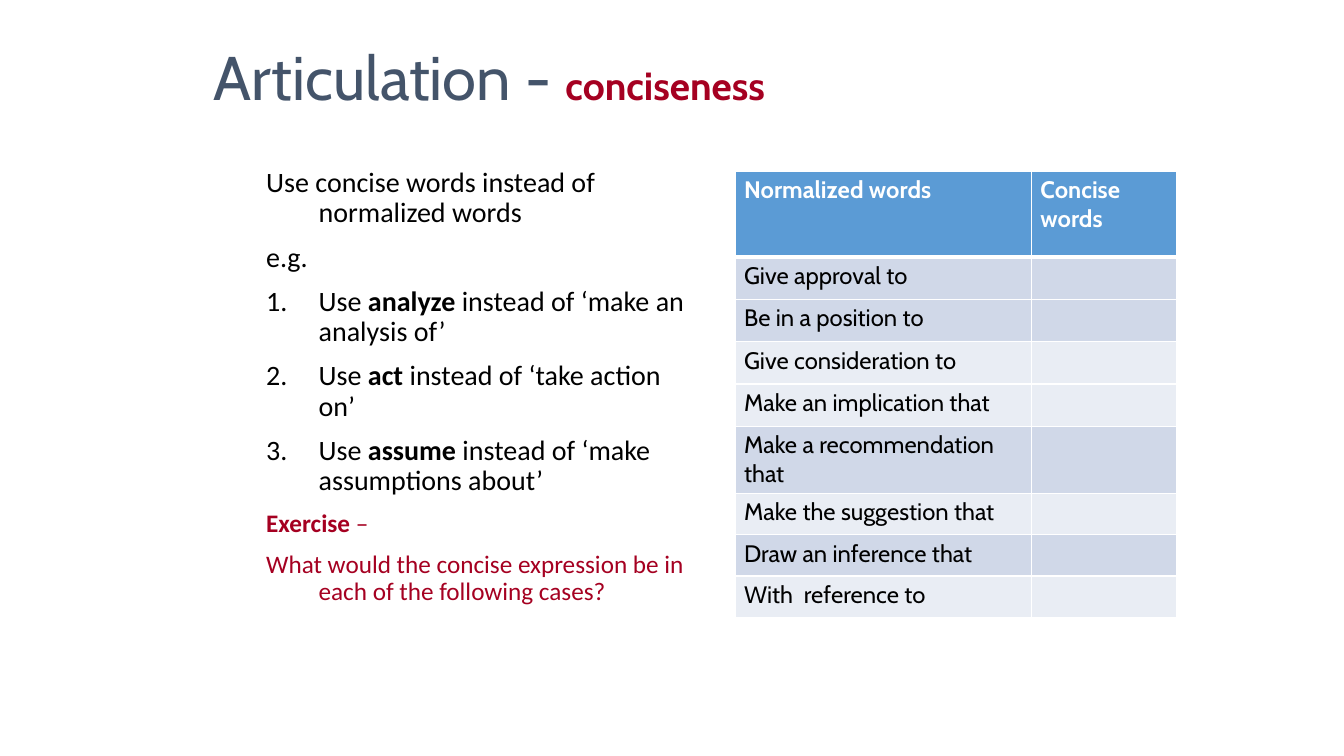
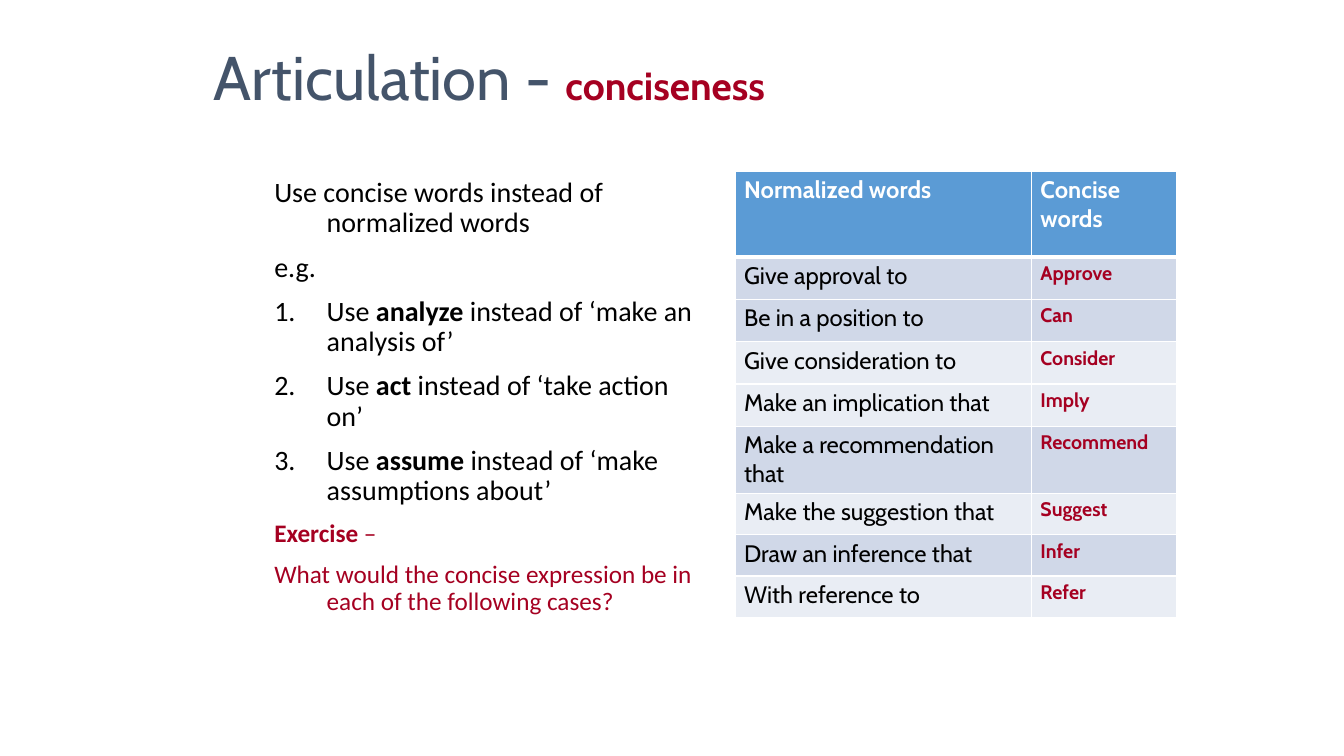
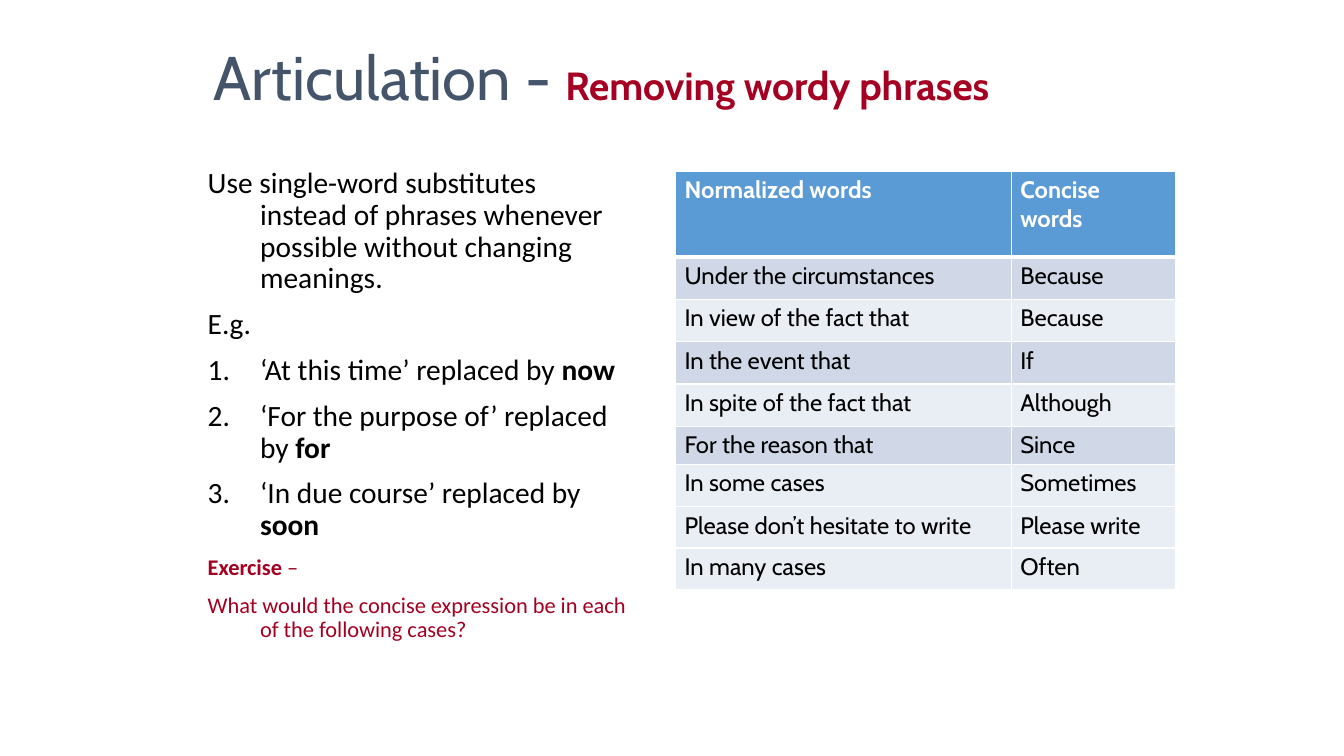
from dataclasses import dataclass

from lxml import etree
from pptx import Presentation
from pptx.dml.color import RGBColor
from pptx.enum.text import MSO_ANCHOR, MSO_AUTO_SIZE, PP_ALIGN
from pptx.oxml.ns import qn
from pptx.util import Inches, Pt

LEFT = PP_ALIGN.LEFT
MIDDLE = MSO_ANCHOR.MIDDLE
TOP = MSO_ANCHOR.TOP
NO_AUTOFIT = MSO_AUTO_SIZE.NONE


@dataclass(frozen=True)
class Theme:
    heading_font: str = "Cabin"
    body_font: str = "Calibri"
    title: str = "44546A"
    accent: str = "A50021"
    text: str = "000000"
    header: str = "5B9BD5"
    dark_band: str = "D0D8E8"
    light_band: str = "E9EDF4"
    white: str = "FFFFFF"
    title_size: int = 44
    subtitle_size: int = 28
    table_size: int = 17
    answer_size: int = 14
    thin_line: int = 1
    thick_line: int = 3


THEME = Theme()
BANDS = {"D": THEME.dark_band, "L": THEME.light_band}

# Content: each lesson point is a list of (text, bold) runs
CONCISE_INTRO = ["Use concise words instead of normalized words", "e.g."]
CONCISE_POINTS = [
    [("Use ", False), (word, True), (f" instead of ‘{phrase}’", False)]
    for word, phrase in [("analyze", "make an analysis of"),
                         ("act", "take action on"),
                         ("assume", "make assumptions about")]
]
WORDY_INTRO = ["Use single-word substitutes instead of phrases whenever "
               "possible without changing meanings.", "E.g."]
WORDY_POINTS = [
    [(f"‘{phrase}’ replaced by ", False), (word, True)]
    for phrase, word in [("At this time", "now"),
                         ("For the purpose of", "for"),
                         ("In due course", "soon")]
]
EXERCISE = [
    [("Exercise", True), (" –", False)],
    [("What would the concise expression be in each of the following cases?",
      False)],
]
TABLE_HEADER = ("Normalized words", "Concise words")
PHRASES = ["Give approval to", "Be in a position to", "Give consideration to",
           "Make an implication that", "Make a recommendation that",
           "Make the suggestion that", "Draw an inference that"]
ANSWERS = ["Approve", "Can", "Consider", "Imply", "Recommend", "Suggest",
           "Infer", "Refer"]
QUESTION_ROWS = [(phrase, "") for phrase in PHRASES + ["With  reference to"]]
ANSWER_ROWS = list(zip(PHRASES + ["With reference to"], ANSWERS))
WORDY_ROWS = [
    ("Under the circumstances", "Because"),
    ("In view of the fact that", "Because"),
    ("In the event that", "If"),
    ("In spite of the fact that", "Although"),
    ("For the reason that", "Since"),
    ("In some cases", "Sometimes"),
    ("Please don’t hesitate to write", "Please write"),
    ("In many cases", "Often"),
]
CONCISE_TABLE = {"left": 7.29, "columns": (2.94, 1.44), "bands": "DDLLDLDL",
                 "heights": [0.85] + [0.42] * 4 + [0.41] * 4}
WORDY_TABLE = {"left": 6.7, "columns": (3.33, 1.63), "bands": "DLDLDLLL",
               "heights": [0.85] + [0.42] * 4 + [0.37, 0.42, 0.41, 0.41]}


def place(shape, left, top, width, height):
    shape.left, shape.top = Inches(left), Inches(top)
    shape.width, shape.height = Inches(width), Inches(height)


def add_run(para, text, size, color, font, bold=False):
    run = para.add_run()
    run.text = text
    run.font.size = Pt(size)
    run.font.name = font
    run.font.bold = bold
    run.font.color.rgb = RGBColor.from_string(color)


def prepare_layout(deck):
    """Set the title and body style that all slides inherit."""
    layout = deck.slide_layouts[1]
    title, body = layout.placeholders[0], layout.placeholders[1]
    place(title, 2.02, 0.21, 8.92, 1.08)
    place(body, 2.54, 1.62, 4.38, 4.95)
    for box, anchor in ((title, MIDDLE), (body, TOP)):
        box.text_frame.vertical_anchor = anchor
        box.text_frame.word_wrap = True
        box.text_frame.auto_size = NO_AUTOFIT
    return layout


def fill_title(slide, subtitle):
    para = slide.shapes.title.text_frame.paragraphs[0]
    para.alignment = LEFT
    add_run(para, "Articulation - ", THEME.title_size, THEME.title,
            THEME.heading_font)
    add_run(para, subtitle, THEME.subtitle_size, THEME.accent,
            THEME.heading_font, True)


def set_list_style(para, numbered):
    """Give the paragraph its hanging indent and its number, if any."""
    para.alignment = LEFT
    para.line_spacing = 0.9
    para.space_before = Pt(10)
    properties = para._p.get_or_add_pPr()
    properties.set("marL", str(Inches(0.52)))
    properties.set("indent", str(Inches(-0.52)))
    if numbered:
        etree.SubElement(properties, qn("a:buFont"), typeface="+mj-lt")
        etree.SubElement(properties, qn("a:buAutoNum"), type="arabicPeriod")
    else:
        etree.SubElement(properties, qn("a:buNone"))


def fill_body(slide, left, top, intro, points, size, exercise_size):
    body = slide.placeholders[1]
    place(body, left, top, 4.38, 4.95)
    lines = [([(text, False)], False, size, THEME.text) for text in intro]
    lines += [(runs, True, size, THEME.text) for runs in points]
    lines += [(runs, False, exercise_size, THEME.accent) for runs in EXERCISE]
    frame = body.text_frame
    for index, (runs, numbered, points_size, color) in enumerate(lines):
        para = frame.add_paragraph() if index else frame.paragraphs[0]
        set_list_style(para, numbered)
        for text, bold in runs:
            add_run(para, text, points_size, color, THEME.body_font, bold)


def set_borders(cell, top, bottom):
    """Draw white cell borders; top and bottom are widths in points."""
    properties = cell._tc.get_or_add_tcPr()
    widths = {"lnL": THEME.thin_line, "lnR": THEME.thin_line,
              "lnT": top, "lnB": bottom}
    for index, (side, width) in enumerate(widths.items()):
        line = etree.Element(qn(f"a:{side}"), w=str(Pt(width)))
        fill = etree.SubElement(line, qn("a:solidFill"))
        etree.SubElement(fill, qn("a:srgbClr"), val=THEME.white)
        properties.insert(index, line)


def fill_cell(cell, text, fill, size, color, bold):
    cell.fill.solid()
    cell.fill.fore_color.rgb = RGBColor.from_string(fill)
    cell.margin_left = cell.margin_right = Inches(0.09)
    cell.margin_top = cell.margin_bottom = Inches(0.045)
    if text:
        add_run(cell.text_frame.paragraphs[0], text, size, color,
                THEME.heading_font, bold)


def add_word_table(slide, rows, left, columns, heights, bands, answers):
    """Add the word table; answers sets the second column in accent style."""
    table = slide.shapes.add_table(
        len(heights), len(columns), Inches(left), Inches(1.7),
        Inches(sum(columns)), Inches(sum(heights))).table
    table.horz_banding = False
    for column, width in zip(table.columns, columns):
        column.width = Inches(width)
    for row, height in zip(table.rows, heights):
        row.height = Inches(height)

    plain = (THEME.table_size, THEME.text, False)
    answer = (THEME.answer_size, THEME.accent, True)
    header = (THEME.table_size, THEME.white, True)
    fills = [THEME.header] + [BANDS[band] for band in bands]
    for r, texts in enumerate([TABLE_HEADER] + rows):
        top = THEME.thick_line if r == 1 else THEME.thin_line
        bottom = THEME.thick_line if r == 0 else THEME.thin_line
        for c, text in enumerate(texts):
            style = header if r == 0 else answer if answers and c else plain
            cell = table.cell(r, c)
            fill_cell(cell, text, fills[r], *style)
            set_borders(cell, top, bottom)


def add_lesson(deck, layout, subtitle, body, rows, table, answers=False):
    slide = deck.slides.add_slide(layout)
    fill_title(slide, subtitle)
    fill_body(slide, **body)
    add_word_table(slide, rows, answers=answers, **table)


def main():
    deck = Presentation()
    deck.slide_width, deck.slide_height = Inches(13.33), Inches(7.5)
    layout = prepare_layout(deck)

    concise = {"intro": CONCISE_INTRO, "points": CONCISE_POINTS,
               "size": 20, "exercise_size": 18}
    wordy = {"intro": WORDY_INTRO, "points": WORDY_POINTS,
             "size": 21, "exercise_size": 16}
    add_lesson(deck, layout, "conciseness",
               {"left": 2.54, "top": 1.62, **concise},
               QUESTION_ROWS, CONCISE_TABLE)
    add_lesson(deck, layout, "conciseness",
               {"left": 2.62, "top": 1.72, **concise},
               ANSWER_ROWS, CONCISE_TABLE, answers=True)
    add_lesson(deck, layout, "Removing wordy phrases",
               {"left": 1.96, "top": 1.62, **wordy},
               WORDY_ROWS, WORDY_TABLE)
    deck.save("out.pptx")


if __name__ == "__main__":
    main()
